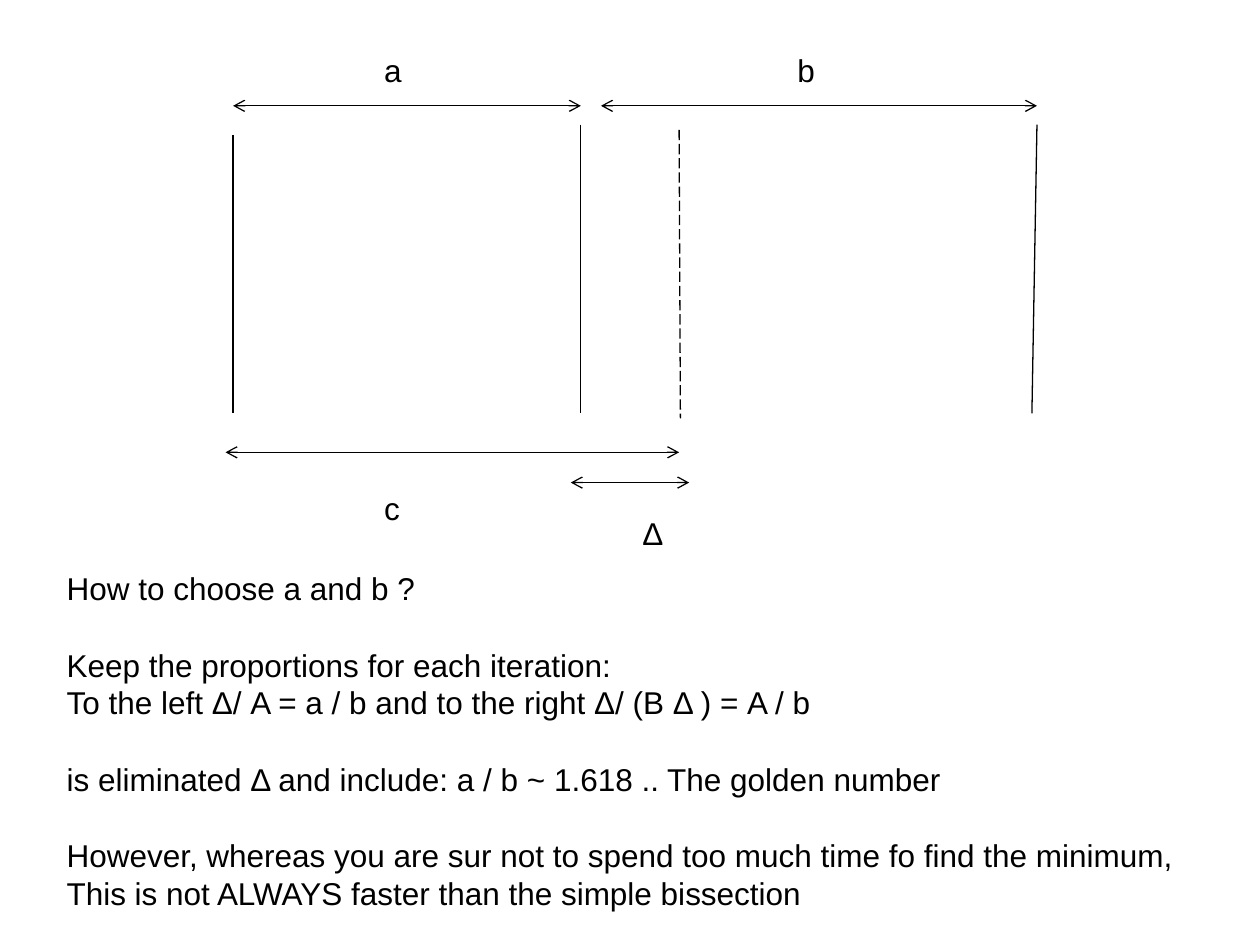
from typing import NamedTuple

from lxml import etree
from pptx import Presentation
from pptx.dml.color import RGBColor
from pptx.enum.dml import MSO_LINE
from pptx.enum.shapes import MSO_CONNECTOR
from pptx.enum.text import MSO_AUTO_SIZE
from pptx.oxml.ns import qn
from pptx.slide import Slide
from pptx.util import Inches, Length, Pt

BLACK = RGBColor(0x00, 0x00, 0x00)
STRAIGHT = MSO_CONNECTOR.STRAIGHT
LONG_DASH = MSO_LINE.LONG_DASH
GROW = MSO_AUTO_SIZE.SHAPE_TO_FIT_TEXT
FONT = "Arial"
FONT_SIZE = Pt(18)
SECTION_GAP = Pt(22)
COLUMNS, ROWS = 100, 75
SLIDE_WIDTH, SLIDE_HEIGHT = Inches(10), Inches(7.5)

LEFT_BOUND, MIDDLE_BOUND, NEW_POINT, RIGHT_BOUND = 18.5, 46.1, 53.9, 82.3
BOUND_TOP, BOUND_BOTTOM = 9.9, 32.8
UPPER_SPAN = 8.4
LABEL_WIDTH, LABEL_HEIGHT = 3.4, 4


class Boundary(NamedTuple):
    top_column: float
    top_row: float
    bottom_column: float
    bottom_row: float
    dashed: bool = False


class Span(NamedTuple):
    start: float
    end: float
    row: float


class Label(NamedTuple):
    text: str
    column: float
    row: float


BOUNDARIES = [
    Boundary(LEFT_BOUND, 10.7, LEFT_BOUND, BOUND_BOTTOM),
    Boundary(MIDDLE_BOUND, BOUND_TOP, MIDDLE_BOUND, BOUND_BOTTOM),
    Boundary(RIGHT_BOUND, BOUND_TOP, 81.9, BOUND_BOTTOM),
    Boundary(NEW_POINT, 10.3, 54, 33.2, dashed=True),
]
SPANS = [
    Span(LEFT_BOUND, MIDDLE_BOUND, UPPER_SPAN),
    Span(47.7, RIGHT_BOUND, UPPER_SPAN),
    Span(17.9, NEW_POINT, 35.9),
    Span(45.3, 54.7, 38.3),
]
LABELS = [
    Label("a", 29.5, 3.6),
    Label("b", 62.3, 3.6),
    Label("c", 29.5, 38.3),
    Label("Δ", 50, 40.3),
]
SECTIONS = [
    ["How to choose a and b ?"],
    [
        "Keep the proportions for each iteration:",
        "To the left Δ/ A = a / b and to the right Δ/ (B Δ ) = A / b",
    ],
    ["is eliminated Δ and include: a / b ~ 1.618 .. The golden number"],
    [
        "However, whereas you are sur not to spend too much time fo find the minimum,",
        "This is not ALWAYS faster than the simple bissection",
    ],
]


def across(columns: float) -> Length:
    return Length(round(SLIDE_WIDTH * columns / COLUMNS))


def down(rows: float) -> Length:
    return Length(round(SLIDE_HEIGHT * rows / ROWS))


def draw_line(slide: Slide, boundary: Boundary, arrows: bool = False) -> None:
    line = slide.shapes.add_connector(
        STRAIGHT,
        across(boundary.top_column), down(boundary.top_row),
        across(boundary.bottom_column), down(boundary.bottom_row),
    )
    line.line.color.rgb = BLACK
    line.line.width = Pt(0.75)
    if boundary.dashed:
        line.line.dash_style = LONG_DASH
    properties = line._element.spPr
    if arrows:
        outline = properties.find(qn("a:ln"))
        for end in ("a:headEnd", "a:tailEnd"):
            etree.SubElement(outline, qn(end), type="arrow")
    etree.SubElement(properties, qn("a:effectLst"))


def draw_span(slide: Slide, span: Span) -> None:
    draw_line(slide, Boundary(span.start, span.row, span.end, span.row), arrows=True)


def draw_text(slide: Slide, sections: list[list[str]], column: float, row: float,
              width: float, height: float, wrap: bool) -> None:
    box = slide.shapes.add_textbox(across(column), down(row), across(width), down(height))
    frame = box.text_frame
    frame.word_wrap = wrap
    frame.auto_size = GROW
    frame.text = "\n".join(line for section in sections for line in section)
    paragraphs = iter(frame.paragraphs)
    for section_index, section in enumerate(sections):
        for line_index in range(len(section)):
            paragraph = next(paragraphs)
            if section_index and not line_index:
                paragraph.space_before = SECTION_GAP
            for run in paragraph.runs:
                run.font.name = FONT
                run.font.size = FONT_SIZE
                run.font.color.rgb = BLACK


def main() -> None:
    presentation = Presentation()
    presentation.slide_width = SLIDE_WIDTH
    presentation.slide_height = SLIDE_HEIGHT
    slide = presentation.slides.add_slide(presentation.slide_layouts[6])
    for boundary in BOUNDARIES:
        draw_line(slide, boundary)
    for span in SPANS:
        draw_span(slide, span)
    for label in LABELS:
        draw_text(slide, [[label.text]], label.column, label.row,
                  LABEL_WIDTH, LABEL_HEIGHT, wrap=False)
    draw_text(slide, SECTIONS, 4.3, 44.7, 92.9, 28.3, wrap=True)
    presentation.save("out.pptx")


if __name__ == "__main__":
    main()
